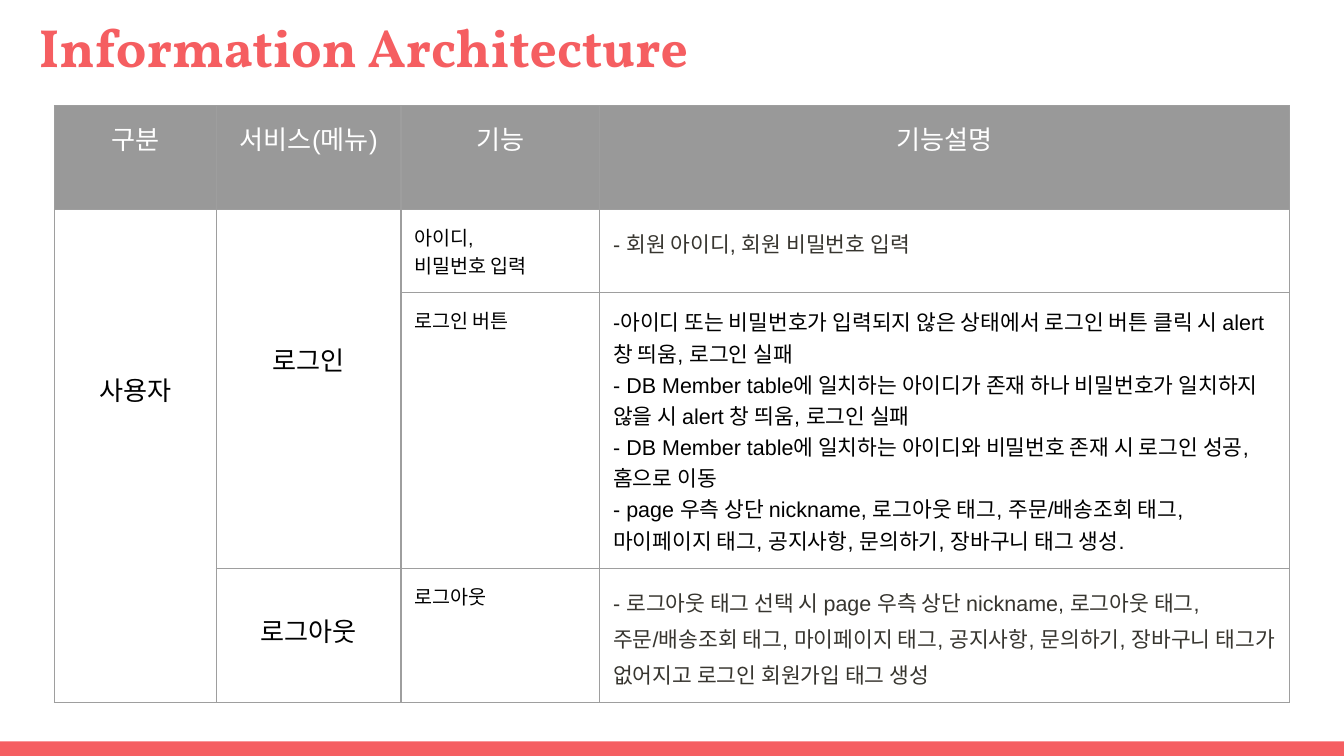
from lxml import etree
from pptx import Presentation
from pptx.dml.color import RGBColor
from pptx.enum.shapes import MSO_SHAPE
from pptx.enum.text import MSO_ANCHOR, PP_ALIGN
from pptx.oxml.ns import qn
from pptx.util import Pt

LEFT, CENTER = PP_ALIGN.LEFT, PP_ALIGN.CENTER
TOP = MSO_ANCHOR.TOP
RECTANGLE = MSO_SHAPE.RECTANGLE
COLORS = {
    "accent": "F55E61",
    "header": "999999",
    "border": "9E9E9E",
    "white": "FFFFFF",
    "black": "000000",
    "muted": "37352F",
}
PADDING = 7.2
SLIDE_WIDTH, SLIDE_HEIGHT = 720, 405
COLUMN_WIDTHS = [86.8, 98.8, 106.5, 369.4]
ROW_HEIGHTS = [55.7, 44.5, 147.9, 71.8]

HEADERS = ["구분", "서비스(메뉴)", "기능", "기능설명"]
GROUPS = [
    (1, 0, 3, "사용자", 86),
    (1, 1, 2, "로그인", 70),
    (3, 1, 1, "로그아웃", 22.7),
]
MUTED = {"color": "muted", "spacing": 1.15}
FEATURES = [
    (["아이디,", "비밀번호 입력"], ["- 회원 아이디, 회원 비밀번호 입력"], MUTED),
    (["로그인 버튼"], [
        "-아이디 또는 비밀번호가 입력되지 않은 상태에서 로그인 버튼 클릭 시 alert 창 띄움, 로그인 실패",
        "- DB Member table에 일치하는 아이디가 존재 하나 비밀번호가 일치하지 않을 시 alert 창 띄움, 로그인 실패",
        "- DB Member table에 일치하는 아이디와 비밀번호 존재 시 로그인 성공, 홈으로 이동",
        "- page 우측 상단 nickname, 로그아웃 태그, 주문/배송조회 태그, 마이페이지 태그, 공지사항, 문의하기, 장바구니 태그 생성.",
    ], {}),
    (["로그아웃"], [
        "- 로그아웃 태그 선택 시 page 우측 상단 nickname, 로그아웃 태그, 주문/배송조회 태그, "
        "마이페이지 태그, 공지사항, 문의하기, 장바구니 태그가 없어지고 로그인 회원가입 태그 생성",
    ], MUTED),
]


def rgb(name):
    return RGBColor.from_string(COLORS[name])


def write(frame, lines, size=14, color="black", font="Arial", bold=False,
          align=LEFT, spacing=None):
    frame.word_wrap = True
    for index, line in enumerate(lines):
        paragraph = frame.paragraphs[0] if index == 0 else frame.add_paragraph()
        paragraph.alignment = align
        if spacing:
            paragraph.line_spacing = spacing
        run = paragraph.add_run()
        run.text = line
        run.font.size = Pt(size)
        run.font.bold = bold
        run.font.name = font
        run.font.color.rgb = rgb(color)


def set_borders(cell):
    properties = cell._tc.get_or_add_tcPr()
    for position, side in enumerate(("lnL", "lnR", "lnT", "lnB")):
        line = etree.Element(qn(f"a:{side}"), w=str(Pt(0.75)))
        fill = etree.SubElement(line, qn("a:solidFill"))
        etree.SubElement(fill, qn("a:srgbClr"), val=COLORS["border"])
        properties.insert(position, line)


def add_title(slide, left, top, width, height):
    frame = slide.shapes.add_textbox(Pt(left), Pt(top), Pt(width), Pt(height)).text_frame
    frame.margin_left = frame.margin_right = Pt(PADDING)
    frame.margin_top = frame.margin_bottom = Pt(PADDING)
    frame.vertical_anchor = TOP
    write(frame, ["Information Architecture"], size=28.8, color="accent",
          font="Vollkorn", bold=True)


def add_footer_bar(slide, left, top, width, height):
    bar = slide.shapes.add_shape(RECTANGLE, Pt(left), Pt(top), Pt(width), Pt(height))
    bar.shadow.inherit = False
    bar.fill.solid()
    bar.fill.fore_color.rgb = rgb("accent")
    bar.line.fill.background()


def add_feature_table(slide, left, top, width, height):
    table = slide.shapes.add_table(len(ROW_HEIGHTS), len(COLUMN_WIDTHS),
                                   Pt(left), Pt(top), Pt(width), Pt(height)).table
    for column, column_width in zip(table.columns, COLUMN_WIDTHS):
        column.width = Pt(column_width)
    for row, row_height in zip(table.rows, ROW_HEIGHTS):
        row.height = Pt(row_height)
    table.horz_banding = False

    for row_index, row in enumerate(table.rows):
        for cell in row.cells:
            cell.margin_left = cell.margin_right = Pt(PADDING)
            cell.margin_top = cell.margin_bottom = Pt(PADDING)
            cell.fill.solid()
            cell.fill.fore_color.rgb = rgb("white" if row_index else "header")
            set_borders(cell)

    for column_index, header in enumerate(HEADERS):
        write(table.cell(0, column_index).text_frame, [header], color="white", align=CENTER)
    for row_index, column_index, span, label, label_top in GROUPS:
        group = table.cell(row_index, column_index)
        if span > 1:
            group.merge(table.cell(row_index + span - 1, column_index))
        group.margin_top = Pt(label_top)
        write(group.text_frame, [label], align=CENTER)
    for row_index, (feature, description, style) in enumerate(FEATURES, start=1):
        write(table.cell(row_index, 2).text_frame, feature, size=10.5)
        write(table.cell(row_index, 3).text_frame, description, size=11.5, **style)


def main():
    deck = Presentation()
    deck.slide_width, deck.slide_height = Pt(SLIDE_WIDTH), Pt(SLIDE_HEIGHT)
    slide = deck.slides.add_slide(deck.slide_layouts[6])
    add_footer_bar(slide, 0, 397.2, SLIDE_WIDTH, 7.8)
    add_title(slide, 13.8, 0, 685.2, 49)
    add_feature_table(slide, 29.2, 56.6, sum(COLUMN_WIDTHS), sum(ROW_HEIGHTS))
    deck.save("out.pptx")


if __name__ == "__main__":
    main()
